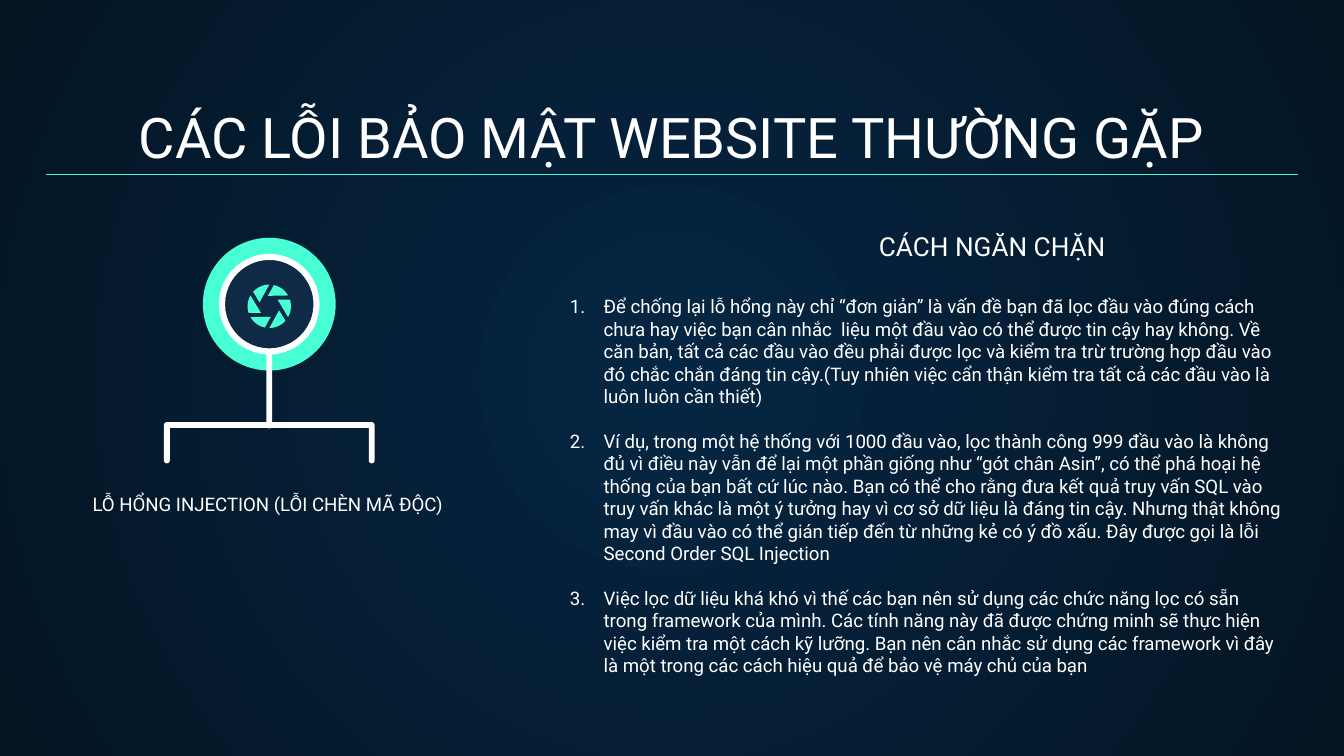
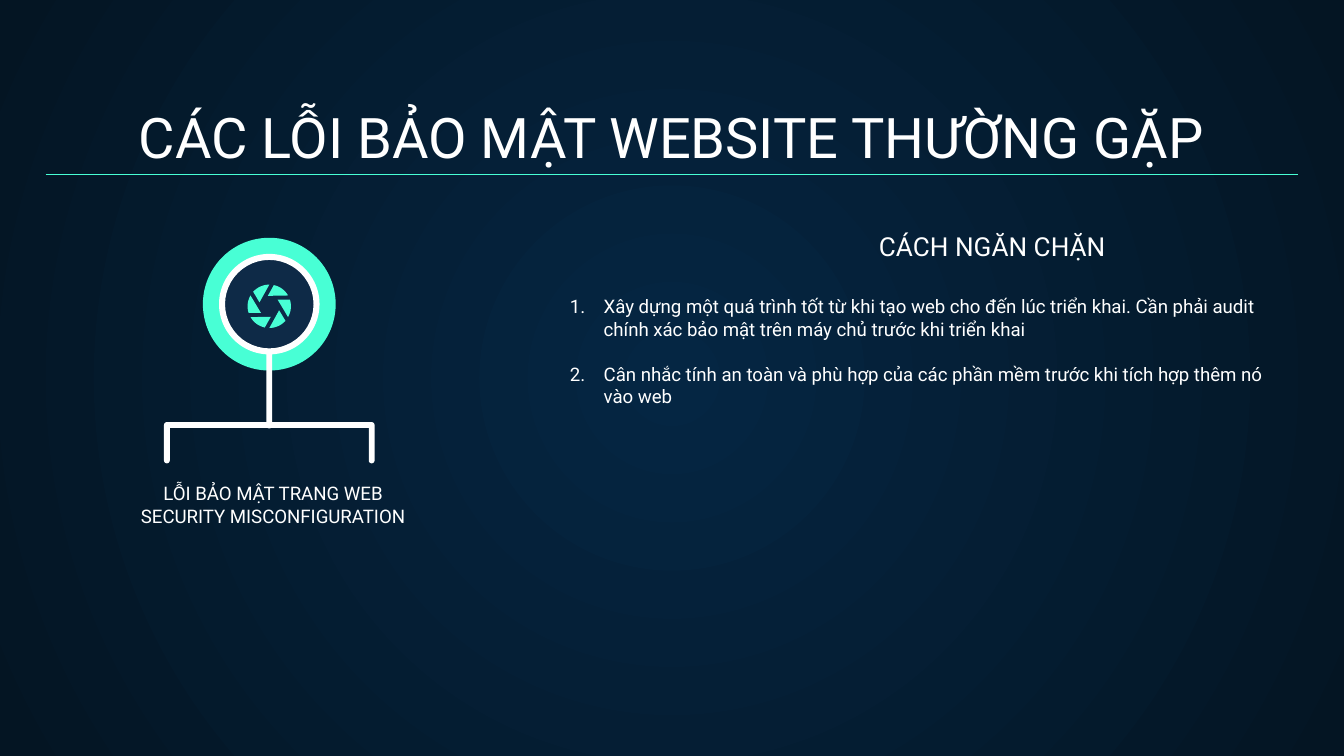
from math import cos, radians, sin

from lxml import etree
from pptx import Presentation
from pptx.dml.color import RGBColor
from pptx.enum import shapes, text
from pptx.oxml import ns
from pptx.util import Cm, Pt

# Content
TITLE = "CÁC LỖI BẢO MẬT WEBSITE THƯỜNG GẶP"
HEAD = "CÁCH NGĂN CHẶN"
LEFT, MID = text.PP_ALIGN.LEFT, text.PP_ALIGN.CENTER
PAGES = [
    {
        "name": "LỖ HỔNG INJECTION (LỖI CHÈN MÃ ĐỘC)",
        "box": (1.5, 9.12, 7.26, 0.84),
        "align": LEFT,
        "tall": 8.13,
        "tips": [
            "Để chống lại lỗ hổng này chỉ “đơn giản” là vấn đề bạn đã lọc đầu vào "
            "đúng cách chưa hay việc bạn cân nhắc  liệu một đầu vào có thể được tin "
            "cậy hay không. Về căn bản, tất cả các đầu vào đều phải được lọc và kiểm "
            "tra trừ trường hợp đầu vào đó chắc chắn đáng tin cậy.(Tuy nhiên việc cẩn "
            "thận kiểm tra tất cả các đầu vào là luôn luôn cần thiết)",
            "Ví dụ, trong một hệ thống với 1000 đầu vào, lọc thành công 999 đầu vào là "
            "không đủ vì điều này vẫn để lại một phần giống như “gót chân Asin”, có "
            "thể phá hoại hệ thống của bạn bất cứ lúc nào. Bạn có thể cho rằng đưa kết "
            "quả truy vấn SQL vào truy vấn khác là một ý tưởng hay vì cơ sở dữ liệu là "
            "đáng tin cậy. Nhưng thật không may vì đầu vào có thể gián tiếp đến từ "
            "những kẻ có ý đồ xấu. Đây được gọi là lỗi Second Order SQL Injection",
            "Việc lọc dữ liệu khá khó vì thế các bạn nên sử dụng các chức năng lọc có "
            "sẵn trong framework của mình. Các tính năng này đã được chứng minh sẽ "
            "thực hiện việc kiểm tra một cách kỹ lưỡng. Bạn nên cân nhắc sử dụng các "
            "framework vì đây là một trong các cách hiệu quả để bảo vệ máy chủ của bạn",
        ],
    },
    {
        "name": "LỖI BẢO MẬT TRANG WEB\vSECURITY MISCONFIGURATION",
        "box": (2.24, 9.09, 5.84, 1.12),
        "align": MID,
        "tall": 5.31,
        "tips": [
            "Xây dựng một quá trình tốt từ khi tạo web cho đến lúc triển khai. Cần "
            "phải audit chính xác bảo mật trên máy chủ trước khi triển khai",
            "Cân nhắc tính an toàn và phù hợp của các phần mềm trước khi tích hợp thêm "
            "nó vào web",
        ],
    },
]

# Look
FONT = "Roboto"
WHITE = RGBColor(0xFF, 0xFF, 0xFF)
MINT = RGBColor(0x48, 0xFF, 0xD5)
NAVY = RGBColor(0x0E, 0x2A, 0x47)
GLOW = RGBColor(0x05, 0x26, 0x43)
EDGE = RGBColor(0x04, 0x15, 0x23)

# Emblem, in cm
AXIS, HUB = 5.09, 5.75
BAR = 0.11
ARM, TOP, FOOT = 1.99, 7.98, 8.76
EYE, WIDE, NEAR = 5.79, 0.41, 0.2


def paint(shape, color):
    shape.shadow.inherit = False
    shape.fill.solid()
    shape.fill.fore_color.rgb = color
    shape.line.fill.background()


def disc(slide, kind, size, color):
    half = size / 2
    spot = slide.shapes.add_shape(
        kind, Cm(AXIS - half), Cm(HUB - half), Cm(size), Cm(size))
    paint(spot, color)
    return spot


def arc(x, y, r, start, end, steps=8):
    turns = [radians(start + (end - start) * i / steps) for i in range(steps + 1)]
    return [(x + r * cos(t), y + r * sin(t)) for t in turns]


def outline(tree, points, color):
    points = [(Cm(x), Cm(y)) for x, y in points]
    pen = tree.build_freeform(*points[0])
    pen.add_line_segments(points[1:], close=True)
    paint(pen.convert_to_shape(), color)


def backdrop(slide):
    fill = slide.background.fill
    fill.gradient()
    for stop, color in zip(fill.gradient_stops, (GLOW, EDGE)):
        stop.color.rgb = color
    lin = slide.element.find(".//" + ns.qn("a:lin"))
    ring = etree.Element(ns.qn("a:path"), path="circle")
    etree.SubElement(ring, ns.qn("a:fillToRect"), {k: "50000" for k in "ltrb"})
    lin.getparent().replace(lin, ring)


def write(slide, box, lines, size, align=LEFT, anchor=text.MSO_ANCHOR.BOTTOM):
    frame = slide.shapes.add_textbox(*map(Cm, box)).text_frame
    look = {"word_wrap": True, "vertical_anchor": anchor}
    look.update({"margin_" + s: Cm(0.25) for s in ("left", "top", "right", "bottom")})
    for key, value in look.items():
        setattr(frame, key, value)
    frame.text = "\n".join(lines)
    for para in frame.paragraphs:
        para.alignment = align
        for run in para.runs:
            run.font.name, run.font.size = FONT, Pt(size)
            run.font.color.rgb = WHITE
    return frame.paragraphs


def number(paras):
    for i, para in enumerate(paras):
        para.space_before = Pt(12 if i else 0)
        props = para._p.get_or_add_pPr()
        props.set("marL", str(Cm(0.97)))
        props.set("indent", str(-Cm(0.64)))
        etree.SubElement(props, ns.qn("a:buAutoNum"), type="arabicPeriod")


def rule(slide):
    line = slide.shapes.add_connector(
        shapes.MSO_CONNECTOR.STRAIGHT, Cm(0.86), Cm(3.3), Cm(24.54), Cm(3.3))
    line.line.color.rgb = MINT
    line.line.width = Pt(0.75)
    etree.SubElement(line._element.spPr, ns.qn("a:effectLst"))


def emblem(slide):
    kinds = shapes.MSO_SHAPE
    # Bracket: one side, then its mirror
    r = BAR / 2
    x = AXIS - ARM + r
    side = [(x + r, TOP + BAR)] + arc(x, FOOT - r, r, 0, 180) + arc(x, TOP + r, r, 180, 270)
    twin = [(2 * AXIS - px, py) for px, py in reversed(side)]
    outline(slide.shapes, side + twin, WHITE)

    # Disc, stem and ring
    disc(slide, kinds.OVAL, 2.51, MINT)
    stem = slide.shapes.add_shape(
        kinds.ROUNDED_RECTANGLE, Cm(AXIS - r), Cm(5.56), Cm(BAR), Cm(2.54))
    stem.adjustments[0] = 0.5
    paint(stem, WHITE)
    disc(slide, kinds.OVAL, 1.78, NAVY)
    disc(slide, kinds.DONUT, 1.9, WHITE).adjustments[0] = 0.06

    # Shutter of six blades
    blades = slide.shapes.add_group_shape().shapes
    for turn in range(0, 360, 60):
        rim = arc(AXIS, EYE, WIDE, turn + 42, turn + 90)
        tip = arc(AXIS, EYE, NEAR, turn + 22, turn + 22, 1)[:1]
        outline(blades, rim + tip, MINT)


def main():
    deck = Presentation()
    deck.slide_width, deck.slide_height = Cm(25.4), Cm(14.29)
    for page in PAGES:
        slide = deck.slides.add_slide(deck.slide_layouts[6])
        backdrop(slide)
        write(slide, (0.86, 1.78, 23.67, 1.68), [TITLE], 30, MID)
        emblem(slide)
        rule(slide)
        write(slide, page["box"], [page["name"]], 10, page["align"])
        number(write(slide, (10.19, 5.33, 14.35, page["tall"]), page["tips"], 10,
                     anchor=text.MSO_ANCHOR.TOP))
        write(slide, (16.36, 4.5, 5.21, 0.69), [HEAD], 14)
    deck.save("out.pptx")


if __name__ == "__main__":
    main()
